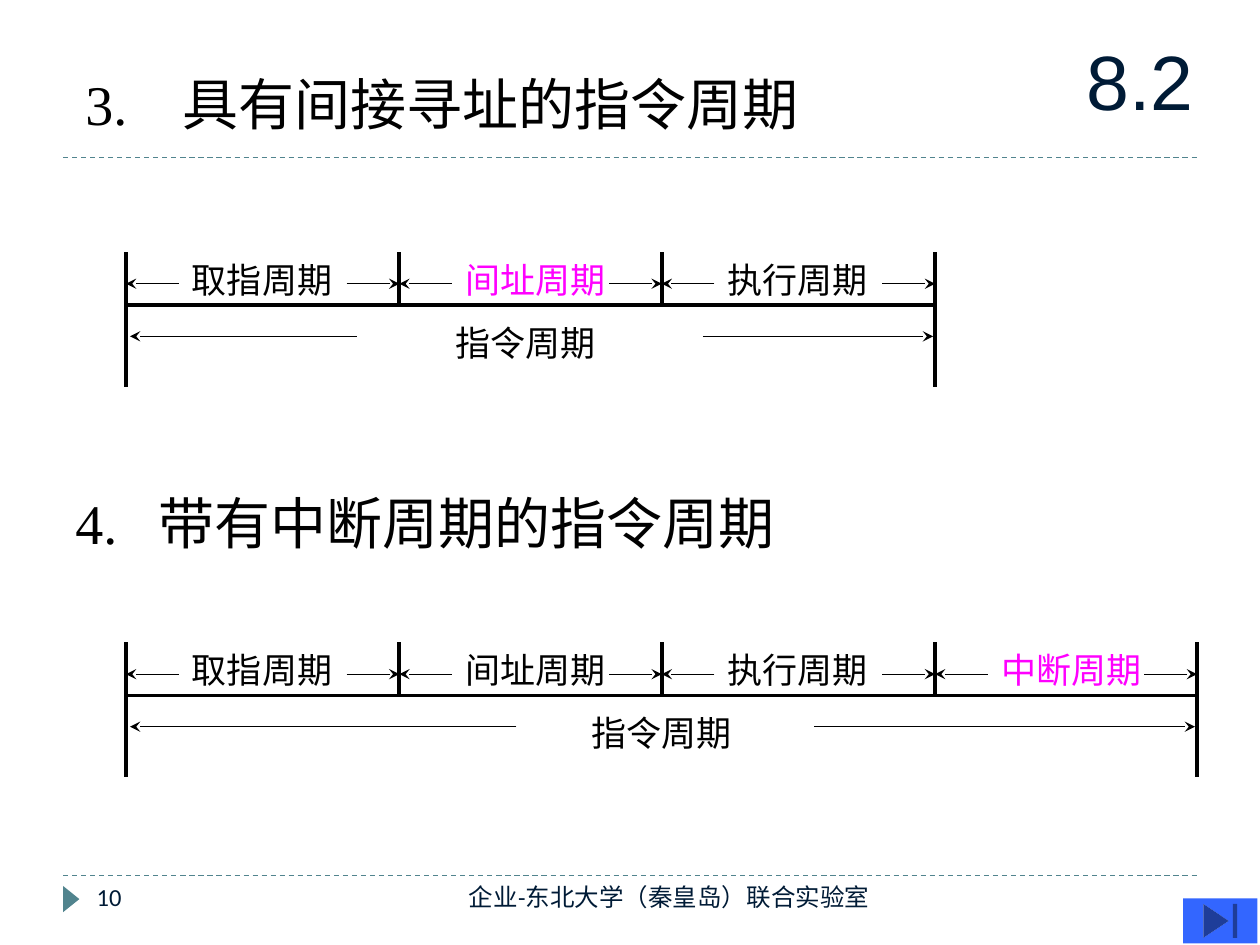
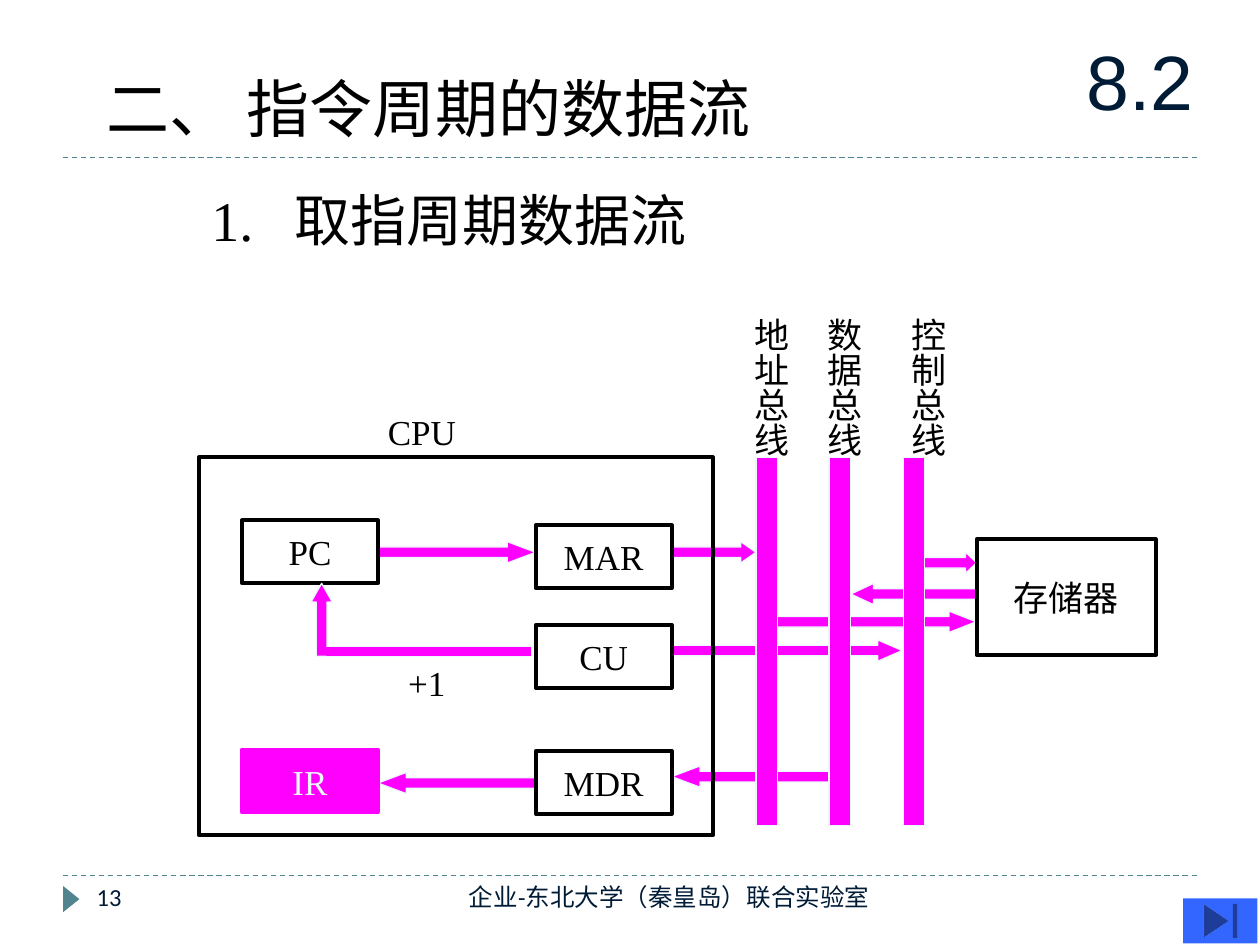
from lxml import etree
from pptx import Presentation
from pptx import util as u
from pptx.dml.color import RGBColor
from pptx.enum import dml, shapes, text
from pptx.oxml.ns import qn

BLACK = RGBColor(0x00, 0x00, 0x00)
NAVY = RGBColor(0x00, 0x1B, 0x36)
TEAL = RGBColor(0x51, 0x84, 0x8E)
MAGENTA = RGBColor(0xFF, 0x00, 0xFF)
PALE = RGBColor(0xED, 0xF8, 0xFE)
BLUE = RGBColor(0x33, 0x66, 0xFF)

SERIF, SANS, FOOTER_FONT = "Times New Roman", "Arial", "Calibri"
SECTION = "8.2"
LAB = "企业-东北大学（秦皇岛）联合实验室"
PERIOD_EDGES = [2.54, 8.05, 13.34, 18.85, 24.13]
BUS_TOP, BUS_WIDTH = 9.22, 0.43

KIND = shapes.MSO_SHAPE
CENTER = text.PP_ALIGN.CENTER
MIDDLE = text.MSO_ANCHOR.MIDDLE


def cm(*lengths):
    return [u.Cm(length) for length in lengths]


# Text
def write(frame, content, size=20, font=SERIF, color=BLACK, align=text.PP_ALIGN.LEFT,
          anchor=text.MSO_ANCHOR.TOP, wrap=False, hanging=0, vertical=False):
    frame.auto_size = text.MSO_AUTO_SIZE.NONE
    frame.word_wrap = wrap
    frame.vertical_anchor = anchor
    if vertical:
        frame._txBody.bodyPr.set("vert", "eaVert")
    paragraph = frame.paragraphs[0]
    paragraph.alignment = align
    if hanging:
        properties = paragraph._p.get_or_add_pPr()
        properties.set("marL", str(u.Cm(hanging)))
        properties.set("indent", str(-u.Cm(hanging)))
    run = paragraph.add_run()
    run.text = content
    run.font.size = u.Pt(size)
    run.font.name = font
    run.font.color.rgb = color


def label(slide, content, left, top, width, height, **style):
    box = slide.shapes.add_textbox(*cm(left, top, width, height))
    write(box.text_frame, content, **style)


def heading(slide, content, left, top, size=32, hanging=0):
    label(slide, content, left, top, 15.88, 1.6, size=size, hanging=hanging, wrap=True)


# Lines and shapes
def line(slide, x1, y1, x2, y2, color=BLACK, width=2.25, dashed=False, arrow=False):
    stroke = slide.shapes.add_connector(shapes.MSO_CONNECTOR.STRAIGHT, *cm(x1, y1, x2, y2))
    stroke.line.color.rgb = color
    stroke.line.width = u.Pt(width)
    if dashed:
        stroke.line.dash_style = dml.MSO_LINE.DASH
    if arrow:
        etree.SubElement(stroke.line._get_or_add_ln(), qn("a:tailEnd"), type="stealth")
    etree.SubElement(stroke._element.spPr, qn("a:effectLst"))


def thin_arrow(slide, start, end, y):
    line(slide, start, y, end, y, width=0.75, arrow=True)


def shape(slide, kind, left, top, width, height, fill=None, outline=None, weight=0.75, turn=0):
    figure = slide.shapes.add_shape(kind, *cm(left, top, width, height))
    figure.shadow.inherit = False
    figure.rotation = turn
    if fill is None:
        figure.fill.background()
    else:
        figure.fill.solid()
        figure.fill.fore_color.rgb = fill
    if outline is None:
        figure.line.fill.background()
    else:
        figure.line.color.rgb = outline
        figure.line.width = u.Pt(weight)
    return figure


def unit(slide, name, left, top, width=2.74, height=1.27, fill=None, outline=BLACK, color=BLACK):
    box = shape(slide, KIND.RECTANGLE, left, top, width, height, fill, outline, 2.25)
    if name:
        write(box.text_frame, name, color=color, align=CENTER, anchor=MIDDLE)


def flow(slide, left, top, width, head, turn=0, kind=KIND.RIGHT_ARROW, height=BUS_WIDTH):
    arrow = shape(slide, kind, left, top, width, height, MAGENTA, PALE, turn=turn)
    arrow.adjustments[1] = head


# Parts shared by every slide
def new_slide(deck, number):
    slide = deck.slides.add_slide(deck.slide_layouts[5])
    for y in (3.18, 17.65):
        line(slide, 1.27, y, 24.13, y, color=TEAL, width=0.75, dashed=True)
    shape(slide, KIND.ISOSCELES_TRIANGLE, 1.17, 17.96, 0.53, 0.33, fill=TEAL, turn=90)

    title = slide.shapes.title
    title.left, title.top, title.width, title.height = cm(21.39, 0.43, 3.18, 2.34)
    write(title.text_frame, SECTION, size=44, font=SANS, color=NAVY,
          align=CENTER, anchor=MIDDLE, wrap=True)

    shape(slide, KIND.ACTION_BUTTON_END, 23.85, 18.11, 1.5, 0.91, fill=BLUE)
    footer = dict(size=14, font=FOOTER_FONT, color=NAVY, wrap=True)
    label(slide, str(number), 1.7, 17.65, 5.51, 1.02, **footer)
    label(slide, LAB, 8.05, 17.65, 9.73, 1.02, align=text.PP_ALIGN.RIGHT, **footer)
    return slide


# Instruction cycle split into periods
def timeline(slide, top, periods, highlighted, total_left, gap):
    edges = PERIOD_EDGES[:len(periods) + 1]
    first, last = edges[0], edges[-1]
    base, period_y, total_y = top + 1.07, top + 0.64, top + 1.7

    line(slide, first, base, last, base)
    for edge in edges:
        line(slide, edge, top, edge, top + 2.72 if edge in (first, last) else base)

    for period, start, end in zip(periods, edges, edges[1:]):
        color = MAGENTA if period == highlighted else BLACK
        label(slide, period, start + 1.08, top, 3.35, 1.09, color=color)
        thin_arrow(slide, start + 1.06, start, period_y)
        thin_arrow(slide, end - 1.06, end, period_y)

    label(slide, "指令周期", total_left, top + 1.27, 3.35, 1.09)
    thin_arrow(slide, gap[0], first + 0.08, total_y)
    thin_arrow(slide, gap[1], last - 0.04, total_y)


def cycles_slide(deck):
    slide = new_slide(deck, 10)
    periods = ["取指周期", "间址周期", "执行周期", "中断周期"]
    heading(slide, "3.\t具有间接寻址的指令周期", 1.47, 1.27, hanging=1.95)
    timeline(slide, 5.08, periods[:3], "间址周期", 8.94, (7.19, 14.17))
    heading(slide, "4.\t带有中断周期的指令周期", 1.27, 9.73, hanging=1.67)
    timeline(slide, 12.95, periods, "中断周期", 11.68, (10.41, 16.41))


def data_flow_slide(deck):
    slide = new_slide(deck, 13)
    heading(slide, "二、 指令周期的数据流", 1.9, 1.27, size=36)
    heading(slide, "1.\t取指周期数据流", 4.01, 3.61, hanging=1.67)

    # Flows: left, top, width, head length, turn
    for left, top, width, head, turn in [
        (7.62, 15.57, 3.18, 1.33, 180),   # MDR to IR
        (7.62, 10.92, 3.18, 1.33, 0),     # PC to MAR
        (13.54, 10.92, 1.7, 0.71, 0),     # MAR to address bus
        (13.54, 15.44, 3.18, 1.33, 180),  # data bus to MDR
        (13.54, 12.9, 4.65, 1.15, 0),     # CU to control bus
        (15.67, 12.32, 4.01, 1.27, 0),    # address bus to memory
        (17.15, 11.76, 2.54, 1.07, 180),  # memory to data bus
        (18.42, 11.13, 1.27, 0.53, 0),    # control bus to memory
    ]:
        flow(slide, left, top, width, head, turn)

    # CPU and its registers
    unit(slide, "", 4.01, BUS_TOP, 10.36, 7.62)
    label(slide, "CPU", 7.57, 8.15, 1.96, 1.09)
    unit(slide, "PC", 4.88, 10.49)
    unit(slide, "IR", 4.88, 15.11, fill=MAGENTA, outline=MAGENTA, color=PALE)
    for name, top in [("MAR", 10.59), ("CU", 12.6), ("MDR", 15.14)]:
        unit(slide, name, 10.8, top)

    # Buses and memory
    for name, bus_left, name_left in [("地址总线", 15.24, 14.73),
                                      ("数据总线", 16.71, 16.21),
                                      ("控制总线", 18.21, 17.91)]:
        shape(slide, KIND.RECTANGLE, bus_left, BUS_TOP, BUS_WIDTH, 7.42, MAGENTA, PALE)
        label(slide, name, name_left, 6.15, 1.35, 3.07, vertical=True)
    unit(slide, "存储器", 19.69, 10.87, 3.61, 2.34)

    # Increment path from CU to PC, its corner joined by a small patch
    shape(slide, KIND.RECTANGLE, 6.48, 13.03, 4.24, 0.2, MAGENTA, PALE)
    flow(slide, 6.27, 11.76, BUS_WIDTH, 0.88, kind=KIND.UP_ARROW, height=1.47)
    shape(slide, KIND.RECTANGLE, 6.55, 13.08, 0.15, 0.1, MAGENTA, MAGENTA, turn=90)
    label(slide, "+1", 7.98, 13.21, 4.45, 1.09, wrap=True)


def main():
    deck = Presentation()
    deck.slide_width, deck.slide_height = cm(25.4, 19.05)
    cycles_slide(deck)
    data_flow_slide(deck)
    deck.save("out.pptx")


if __name__ == "__main__":
    main()
